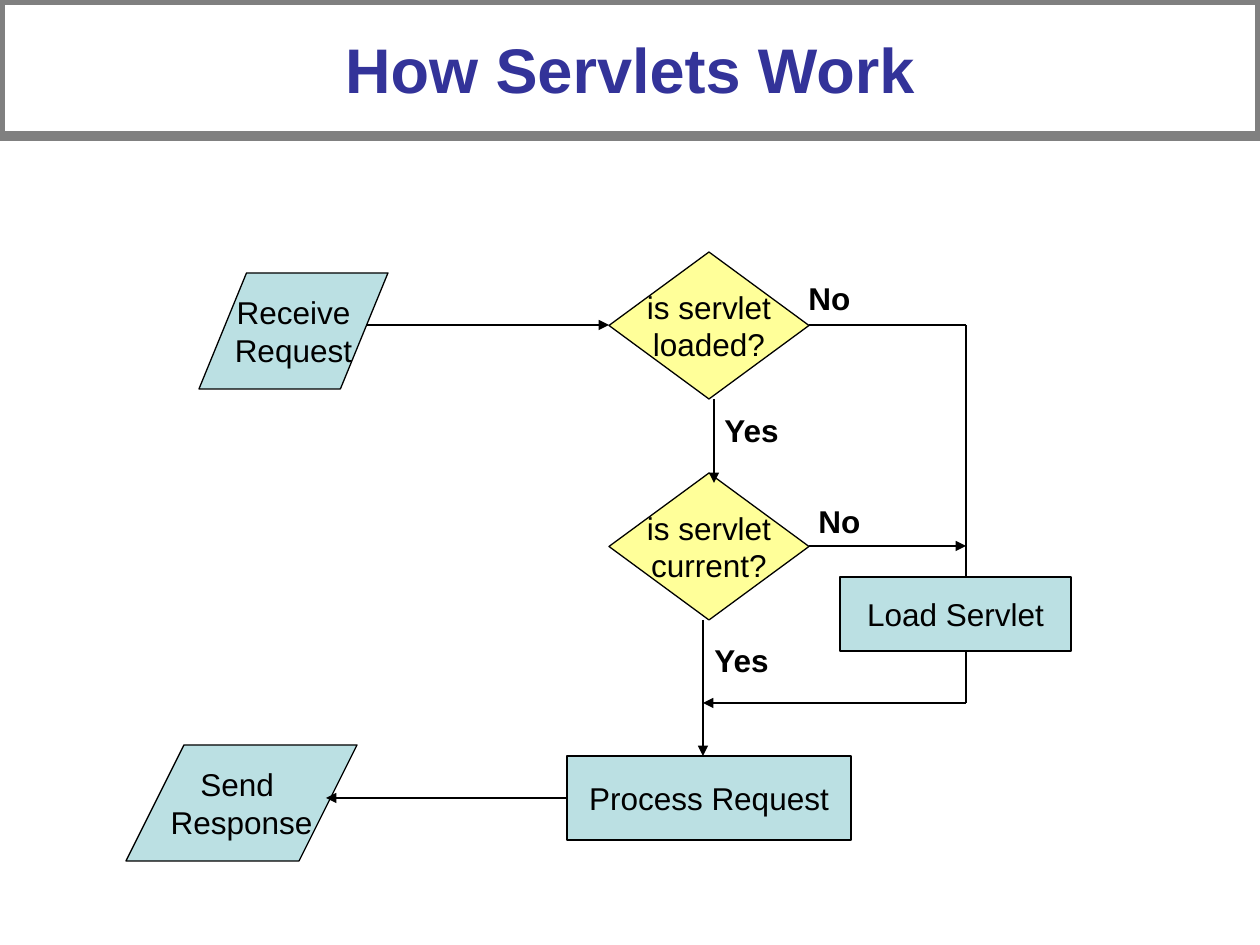
import pptx
import pptx.dml.color
import pptx.enum.shapes
import pptx.enum.text
import pptx.oxml.ns
import pptx.util
from dataclasses import dataclass
from lxml import etree

EMU_PER_PX = 914400 / 126
SHAPES = pptx.enum.shapes.MSO_SHAPE
ALIGN = pptx.enum.text.PP_ALIGN
MIDDLE = pptx.enum.text.MSO_ANCHOR.MIDDLE
AUTO_SIZE = pptx.enum.text.MSO_AUTO_SIZE


@dataclass(frozen=True)
class Theme:
    font: str = "Arial"
    ink: str = "000000"
    title: str = "333399"
    frame: str = "808080"
    step: str = "BBE0E3"
    decision: str = "FFFF99"
    title_size: int = 36
    text_size: int = 18
    frame_width: float = 6
    line_width: float = 0.75


THEME = Theme()


def px(length):
    return round(length * EMU_PER_PX)


def rgb(value):
    return pptx.dml.color.RGBColor.from_string(value)


def set_line(item, color=THEME.ink, width=THEME.line_width):
    item.line.color.rgb = rgb(color)
    item.line.width = pptx.util.Pt(width)


def write(frame, lines, alignment, bold=False, color=THEME.ink, size=THEME.text_size):
    for index, text in enumerate(lines):
        para = frame.add_paragraph() if index else frame.paragraphs[0]
        para.text = text
        para.alignment = alignment
        para.font.name = THEME.font
        para.font.size = pptx.util.Pt(size)
        para.font.bold = bold
        para.font.color.rgb = rgb(color)


def add_title(page, text):
    title = page.shapes.title
    title.left, title.top, title.width, title.height = 0, 0, px(1260), px(136)
    set_line(title, THEME.frame, THEME.frame_width)
    frame = title.text_frame
    frame.auto_size = AUTO_SIZE.NONE
    frame.vertical_anchor = MIDDLE
    write(frame, [text], ALIGN.CENTER, True, THEME.title, THEME.title_size)


def add_node(page, kind, bounds, lines, fill=THEME.step, slant=None):
    node = page.shapes.add_shape(kind, *map(px, bounds))
    node.shadow.inherit = False
    node.fill.solid()
    node.fill.fore_color.rgb = rgb(fill)
    set_line(node)
    if slant is not None:
        node.adjustments[0] = slant
    node.text_frame.word_wrap = False
    node.text_frame.vertical_anchor = MIDDLE
    write(node.text_frame, lines, ALIGN.CENTER)


def add_label(page, left, top, width, text):
    box = page.shapes.add_textbox(px(left), px(top), px(width), px(50))
    box.text_frame.word_wrap = False
    box.text_frame.auto_size = AUTO_SIZE.SHAPE_TO_FIT_TEXT
    write(box.text_frame, [text], ALIGN.LEFT, bold=True)


def add_flow(page, points, arrow=True):
    flow = page.shapes.add_connector(
        pptx.enum.shapes.MSO_CONNECTOR.STRAIGHT, *map(px, points))
    set_line(flow)
    if arrow:
        line = flow.line._get_or_add_ln()
        etree.SubElement(line, pptx.oxml.ns.qn("a:tailEnd"), type="triangle")
    etree.SubElement(flow._element.spPr, pptx.oxml.ns.qn("a:effectLst"))


def main():
    deck = pptx.Presentation()
    deck.slide_width, deck.slide_height = px(1260), px(945)
    page = deck.slides.add_slide(deck.slide_layouts[5])
    add_title(page, "How Servlets Work")

    add_node(page, SHAPES.PARALLELOGRAM, (199, 273, 189, 116),
             ["Receive", "Request"], slant=0.41)
    add_node(page, SHAPES.PARALLELOGRAM, (126, 745, 231, 116),
             ["Send ", "Response"], slant=0.5)
    for top, question in ((252, "loaded?"), (473, "current?")):
        add_node(page, SHAPES.DIAMOND, (609, top, 200, 147),
                 ["is servlet", question], THEME.decision)

    for points in (
        (367, 325, 609, 325),
        (714, 399, 714, 483),
        (809, 546, 966, 546),
        (703, 620, 703, 756),
        (966, 703, 703, 703),
        (567, 798, 326, 798),
    ):
        add_flow(page, points)
    for points in (
        (809, 325, 966, 325),
        (966, 325, 966, 577),
        (966, 651, 966, 703),
    ):
        add_flow(page, points, arrow=False)

    add_node(page, SHAPES.RECTANGLE, (567, 756, 284, 84), ["Process Request"])
    add_node(page, SHAPES.RECTANGLE, (840, 577, 231, 74), ["Load Servlet"])

    for left, top in ((712, 405), (702, 635)):
        add_label(page, left, top, 80, "Yes")
    for left, top in ((796, 273), (806, 496)):
        add_label(page, left, top, 67, "No")

    deck.save("out.pptx")


if __name__ == "__main__":
    main()
